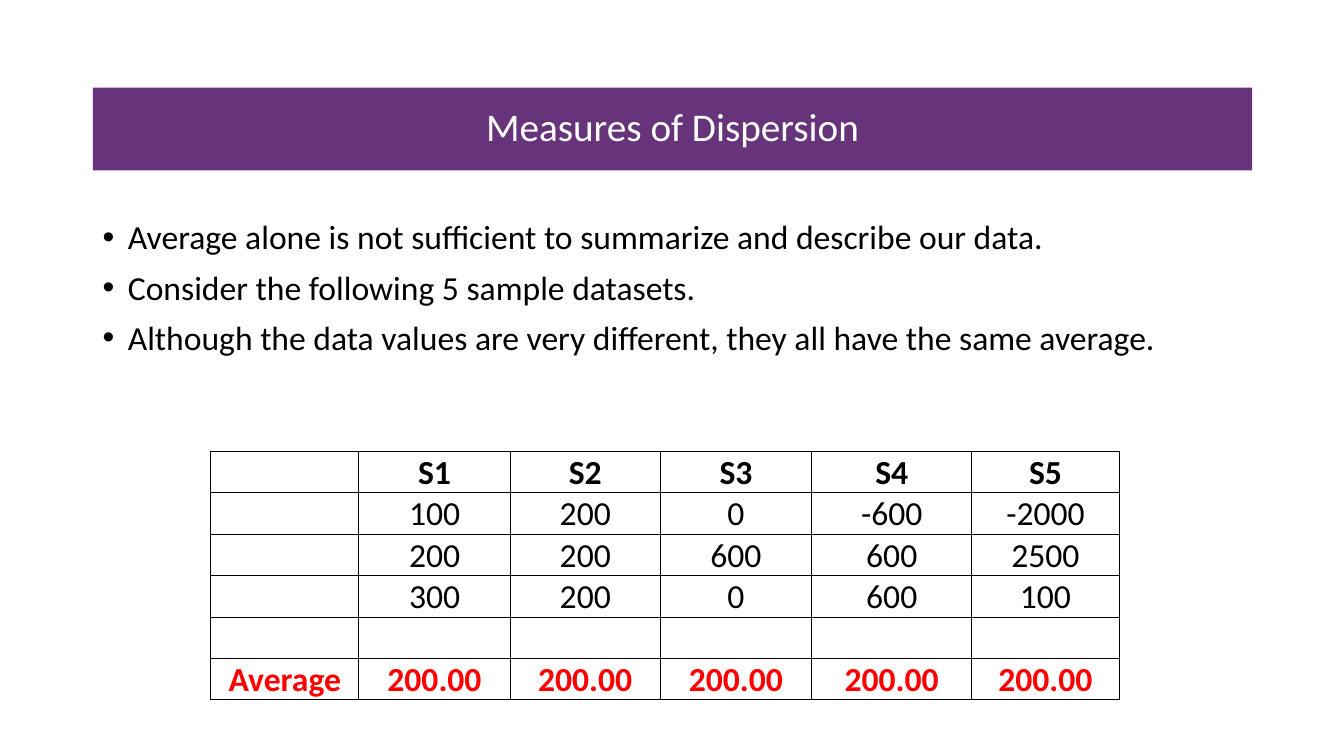
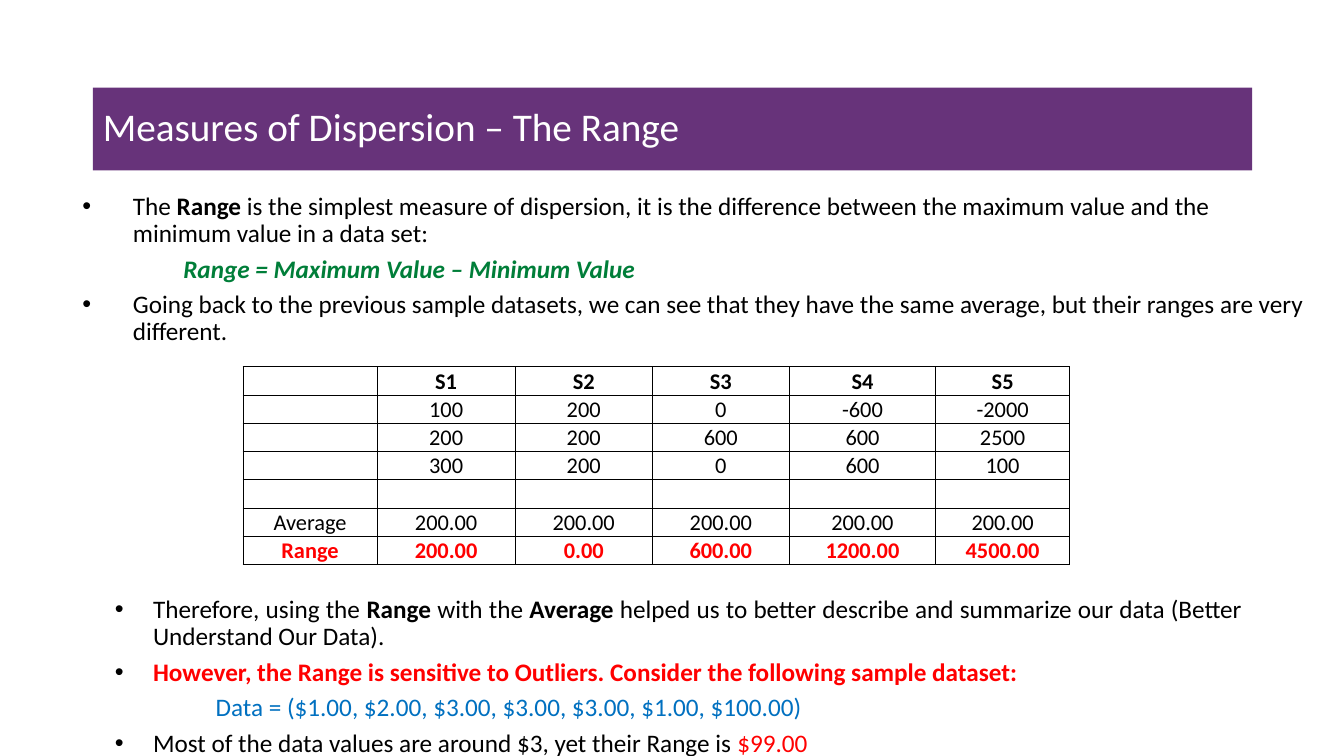
from pptx import Presentation
from pptx.dml.color import RGBColor
from pptx.enum.text import MSO_ANCHOR, PP_ALIGN
from pptx.oxml import parse_xml
from pptx.oxml.ns import nsdecls
from pptx.util import Inches, Pt

FONT = "Calibri"
PURPLE, WHITE, BLACK = "67337A", "FFFFFF", "000000"
RED, GREEN, BLUE = "FF0000", "007E39", "0070C0"
TITLE_BOX = (0.92, 0.87, 11.5, 0.82)
BOLD = {"bold": True}

SAMPLES = [
    ["", "S1", "S2", "S3", "S4", "S5"],
    ["", "100", "200", "0", "-600", "-2000"],
    ["", "200", "200", "600", "600", "2500"],
    ["", "300", "200", "0", "600", "100"],
    [""] * 6,
    ["Average"] + ["200.00"] * 5,
]
RANGES = ["Range", "200.00", "0.00", "600.00", "1200.00", "4500.00"]


def rgb(color):
    return RGBColor.from_string(color)


def append_xml(parent, xml):
    """Append DrawingML elements, parsed inside a wrapper with the namespace."""
    for child in list(parse_xml(f"<a:wrap {nsdecls('a')}>{xml}</a:wrap>")):
        parent.append(child)


def add_run(p, text, size, color=BLACK, **style):
    r = p.add_run()
    r.text = text
    r.font.color.rgb = rgb(color)
    for name, value in {"name": FONT, "size": Pt(size), **style}.items():
        setattr(r.font, name, value)


def add_title_slide(prs, text, align):
    """Slide with the shared purple title band."""
    s = prs.slides.add_slide(prs.slide_layouts[5])
    title = s.shapes.title
    title.left, title.top, title.width, title.height = map(Inches, TITLE_BOX)
    title.fill.solid()
    title.fill.fore_color.rgb = rgb(PURPLE)
    tf = title.text_frame
    tf.vertical_anchor = MSO_ANCHOR.MIDDLE
    p = tf.paragraphs[0]
    p.alignment, p.line_spacing = align, 0.9
    add_run(p, text, 28, WHITE)
    return s


def add_text(s, box, paragraphs, size, before=0, after=0):
    """Text box; a paragraph is (left margin, hang, alignment, runs).

    A paragraph with a hang gets a bullet.
    """
    tf = s.shapes.add_textbox(*map(Inches, box)).text_frame
    tf.word_wrap = True
    for i, (margin, hang, align, runs) in enumerate(paragraphs):
        p = tf.add_paragraph() if i else tf.paragraphs[0]
        spacing = {"alignment": align, "line_spacing": 0.9,
                   "space_before": Pt(before), "space_after": Pt(after)}
        for name, value in spacing.items():
            setattr(p, name, value)
        pPr = p._p.get_or_add_pPr()
        pPr.set("marL", str(Inches(margin)))
        pPr.set("indent", str(-Inches(hang)))
        if hang:
            append_xml(pPr, f'<a:buClr><a:srgbClr val="{BLACK}"/></a:buClr>'
                            '<a:buFont typeface="Arial"/><a:buChar char="•"/>')
        for text, style in runs:
            add_run(p, text, size, **style)


def format_cell(cell, text, size, anchor, **style):
    layout = {"margin_left": Inches(0.01), "margin_right": Inches(0.01),
              "margin_top": Inches(0.01), "margin_bottom": 0,
              "vertical_anchor": anchor}
    for name, value in layout.items():
        setattr(cell, name, value)
    tcPr = cell._tc.get_or_add_tcPr()
    for side in ("lnL", "lnR", "lnT", "lnB"):
        append_xml(tcPr, f'<a:{side} w="{Pt(0.75)}"><a:solidFill>'
                         f'<a:srgbClr val="{BLACK}"/></a:solidFill></a:{side}>')
    cell.fill.background()
    p = cell.text_frame.paragraphs[0]
    p.alignment = PP_ALIGN.CENTER
    if text:
        add_run(p, text, size, **style)
    else:
        append_xml(p._p, f'<a:endParaRPr sz="{size * 100}"/>')


def add_data_table(s, left, top, widths, row_height, rows, size):
    """Grid with a bold header and a bold red last row."""
    height = row_height * len(rows)
    table = s.shapes.add_table(len(rows), len(widths), Inches(left), Inches(top),
                               Inches(sum(widths)), Inches(height)).table
    table.first_row = table.horz_banding = False
    for column, width in zip(table.columns, widths):
        column.width = Inches(width)
    last = len(rows) - 1
    for i, values in enumerate(rows):
        table.rows[i].height = Inches(row_height)
        anchor = MSO_ANCHOR.MIDDLE if 1 <= i <= 3 else MSO_ANCHOR.BOTTOM
        style = {"bold": i in (0, last), "color": RED if i == last else BLACK}
        for j, text in enumerate(values):
            format_cell(table.cell(i, j), text, size, anchor, **style)


def build_average_slide(prs):
    s = add_title_slide(prs, "Measures of Dispersion", PP_ALIGN.CENTER)
    points = [
        "Average alone is not sufficient to summarize and describe our data.",
        "Consider the following 5 sample datasets.",
        "Although the data values are very different, they all have the same average.",
    ]
    add_text(s, (0.92, 2.14, 11.5, 2.05),
             [(0.25, 0.25, PP_ALIGN.LEFT, [(text, {})]) for text in points],
             24, before=10)
    add_data_table(s, 2.09, 4.48, [1.47, 1.5, 1.49, 1.5, 1.59, 1.46],
                   0.41, SAMPLES, 24)


def build_range_slide(prs):
    s = add_title_slide(prs, "Measures of Dispersion – The Range", PP_ALIGN.LEFT)
    left, justify = PP_ALIGN.LEFT, PP_ALIGN.JUSTIFY
    # Definition above the table
    add_text(s, (0.72, 1.87, 12.33, 1.58), [
        (0.5, 0.5, left, [
            ("The ", {}), ("Range ", BOLD),
            ("is the simplest measure of dispersion, it is the difference between "
             "the maximum value and the minimum value in a data set:", {})]),
        (1, 0, left, [("Range = Maximum Value – Minimum Value",
                       {"color": GREEN, "bold": True, "italic": True})]),
        (0.5, 0.5, left, [
            ("Going back to the previous sample datasets, we can see that they have "
             "the same average, but their ranges are very different.", {})]),
    ], 18, after=6)
    add_data_table(s, 2.41, 3.64, [1.33, 1.37, 1.36, 1.36, 1.45, 1.33],
                   0.28, SAMPLES + [RANGES], 16)
    # Conclusion below the table
    add_text(s, (0.92, 5.87, 11.5, 1.57), [
        (0.5, 0.38, justify, [
            ("Therefore, using the ", {}), ("Range", BOLD), (" with the ", {}),
            ("Average", BOLD),
            (" helped us to better describe and summarize our data "
             "(Better Understand Our Data).", {})]),
        (0.5, 0.38, justify, [
            ("However, the Range is sensitive to Outliers. Consider the following "
             "sample dataset:", {"color": RED, "bold": True})]),
        (1.12, 0, left, [
            ("Data = ($1.00, $2.00, $3.00, $3.00, $3.00, $1.00, $100.00)",
             {"color": BLUE})]),
        (0.5, 0.38, left, [
            ("Most of the data values are around $3, yet their Range is ", {}),
            ("$99.00", {"color": RED})]),
    ], 18, after=6)


def main():
    prs = Presentation()
    prs.slide_width, prs.slide_height = Inches(13.33), Inches(7.5)
    build_average_slide(prs)
    build_range_slide(prs)
    prs.save("out.pptx")


if __name__ == "__main__":
    main()
